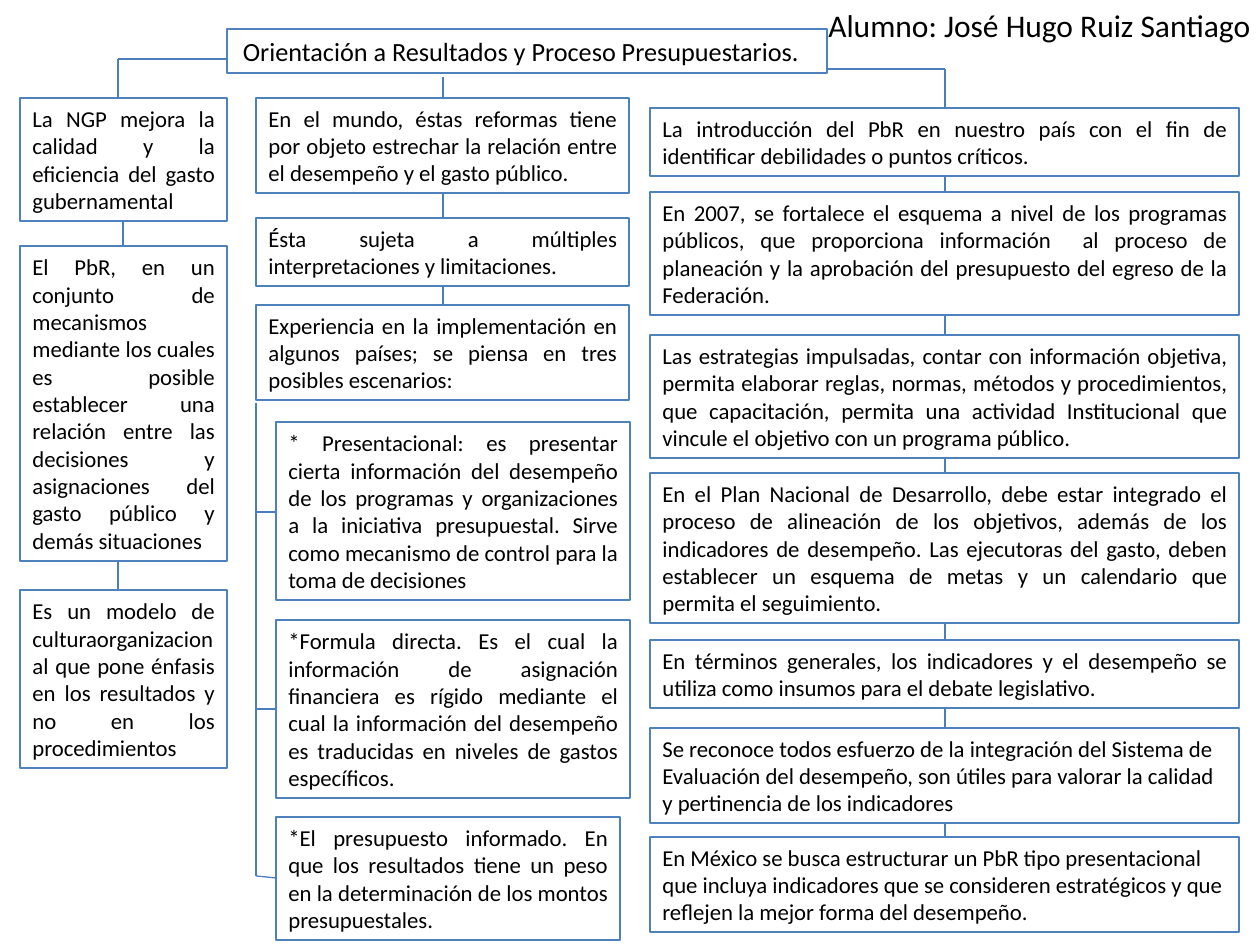
from lxml.etree import SubElement
from pptx import Presentation
from pptx.dml.color import RGBColor as Rgb
from pptx.enum.shapes import MSO_CONNECTOR as Link, MSO_SHAPE as Kind
from pptx.enum.text import MSO_ANCHOR as Anchor, PP_ALIGN as Align
from pptx.oxml.ns import qn
from pptx.util import Inches, Pt

SCALE = Inches(1) // 126
COLORS = {"edge": "4F81BD", "link": "4B7EBC", "text": "000000"}
FONT = {"name": "Calibri", "bold": False}
FRAME = {"word_wrap": True, "vertical_anchor": Anchor.MIDDLE,
         "margin_left": Inches(0.1), "margin_right": Inches(0.1),
         "margin_top": Inches(0.05), "margin_bottom": Inches(0.05)}

# Each column: left, width, link positions, boxes of (top, lines, text[, align])
COLUMNS = [
    (20, 207, (123, 118), [
        (98, 4, "La NGP mejora la calidad y la eficiencia del gasto gubernamental"),
        (246, 11, "El PbR, en un conjunto de mecanismos mediante los cuales es posible "
                  "establecer una relación entre las decisiones y asignaciones del "
                  "gasto público y demás situaciones "),
        (590, 6, "Es un modelo de culturaorganizacional que pone énfasis en los "
                 "resultados y no en los procedimientos "),
    ]),
    (256, 373, (443, 443), [
        (98, 3, "En el mundo, éstas reformas tiene por objeto estrechar la relación "
                "entre el desempeño y el gasto público."),
        (218, 2, "Ésta sujeta a múltiples interpretaciones y limitaciones."),
        (305, 3, "Experiencia en la implementación en algunos países; se piensa en "
                 "tres posibles escenarios: "),
    ]),
    (276, 354, (), [
        (422, 6, "* Presentacional: es presentar cierta información del desempeño de "
                 "los programas y organizaciones a la iniciativa presupuestal. Sirve "
                 "como mecanismo de control para la toma de decisiones"),
        (620, 6, "*Formula directa. Es el cual la información de asignación financiera "
                 "es rígido mediante el cual la información del desempeño es traducidas "
                 "en niveles de gastos específicos. "),
    ]),
    (276, 344, (), [
        (817, 4, "*El presupuesto informado. En que los resultados tiene un peso en la "
                 "determinación de los montos presupuestales."),
    ]),
    (650, 589, (945,) * 6, [
        (108, 2, "La introducción del PbR en nuestro país con el fin de identificar "
                 "debilidades o puntos críticos. "),
        (192, 4, "En 2007, se fortalece el esquema a nivel de los programas públicos, "
                 "que proporciona información  al proceso de planeación y la aprobación "
                 "del presupuesto del egreso de la Federación. "),
        (335, 4, "Las estrategias impulsadas, contar con información objetiva, permita "
                 "elaborar reglas, normas, métodos y procedimientos, que capacitación, "
                 "permita una actividad Institucional que vincule el objetivo con un "
                 "programa público. "),
        (473, 5, "En el Plan Nacional de Desarrollo, debe estar integrado el proceso de "
                 "alineación de los objetivos, además de los indicadores de desempeño. "
                 "Las ejecutoras del gasto, deben establecer un esquema de metas y un "
                 "calendario que permita el seguimiento. "),
        (640, 2, "En términos generales, los indicadores y el desempeño se utiliza como "
                 "insumos para el debate legislativo. "),
        (728, 3, "Se reconoce todos esfuerzo de la integración del Sistema de Evaluación "
                 "del desempeño, son útiles para valorar la calidad y pertinencia de los "
                 "indicadores", Align.LEFT),
        (837, 3, "En México se busca estructurar un PbR tipo presentacional que incluya "
                 "indicadores que se consideren estratégicos y que reflejen la mejor "
                 "forma del desempeño. ", Align.LEFT),
    ]),
]

# Links from the title to the columns, and the bracket of the three scenarios
BRANCHES = [
    (118, 59, 227, 59), (118, 59, 118, 98), (443, 97, 443, 77),
    (827, 69, 945, 69), (945, 108, 945, 69),
    (256, 403, 256, 876), (276, 512, 256, 512), (276, 709, 256, 709),
    (276, 878, 256, 876),
]


def px(*sizes):
    """Turn pixels into EMU."""
    return [size * SCALE for size in sizes]


def apply(target, values):
    """Set each attribute from a dict."""
    for name, value in values.items():
        setattr(target, name, value)


def tall(lines):
    """Give the height in pixels of a box with this many lines."""
    return round(13.3 + 27.4 * lines)


def write(shape, text, size, align, **extra):
    """Put one formatted paragraph in a shape."""
    frame = shape.text_frame
    apply(frame, {**FRAME, **extra})
    para = frame.paragraphs[0]
    para.alignment = align
    run = para.add_run()
    run.text = text
    apply(run.font, {**FONT, "size": Pt(size)})
    run.font.color.rgb = Rgb.from_string(COLORS["text"])


def edge(shape, color):
    """Draw a thin line in the given colour."""
    shape.line.width = Pt(0.75)
    shape.line.color.rgb = Rgb.from_string(COLORS[color])


def add_title(slide, text, *area):
    """Move and outline the title placeholder."""
    title = slide.shapes.title
    apply(title, dict(zip(("left", "top", "width", "height"), px(*area))))
    edge(title, "edge")
    write(title, text, 15, Align.CENTER)


def add_box(slide, left, top, width, height, text, align=Align.JUSTIFY):
    """Add an outlined box of text."""
    box = slide.shapes.add_shape(Kind.RECTANGLE, *px(left, top, width, height))
    box.shadow.inherit = False
    box.fill.background()
    edge(box, "edge")
    write(box, text, 13, align)


def add_link(slide, *ends):
    """Add a straight line between two points."""
    link = slide.shapes.add_connector(Link.STRAIGHT, *px(*ends))
    edge(link, "link")
    SubElement(link._element.spPr, qn("a:effectLst"))


def add_column(slide, left, width, axes, boxes):
    """Add a stack of boxes and the links between them."""
    for top, lines, *rest in boxes:
        add_box(slide, left, top, width, tall(lines), *rest)
    for axis, upper, lower in zip(axes, boxes, boxes[1:]):
        add_link(slide, axis, upper[0] + tall(upper[1]), axis, lower[0])


def add_label(slide, text, *area):
    """Add a plain line of text."""
    label = slide.shapes.add_textbox(*px(*area))
    write(label, text, 18, Align.LEFT, vertical_anchor=Anchor.TOP)


def main():
    """Build the slide and save it."""
    deck = Presentation()
    apply(deck, {"slide_width": Inches(10), "slide_height": Inches(7.5)})
    slide = deck.slides.add_slide(deck.slide_layouts[5])
    add_title(slide, "Orientación a Resultados y Proceso Presupuestarios.  ",
              227, 29, 600, 44)
    for column in COLUMNS:
        add_column(slide, *column)
    for branch in BRANCHES:
        add_link(slide, *branch)
    add_label(slide, "Alumno: José Hugo Ruiz Santiago", 816, 0, 483, 51)
    deck.save("out.pptx")


main()
